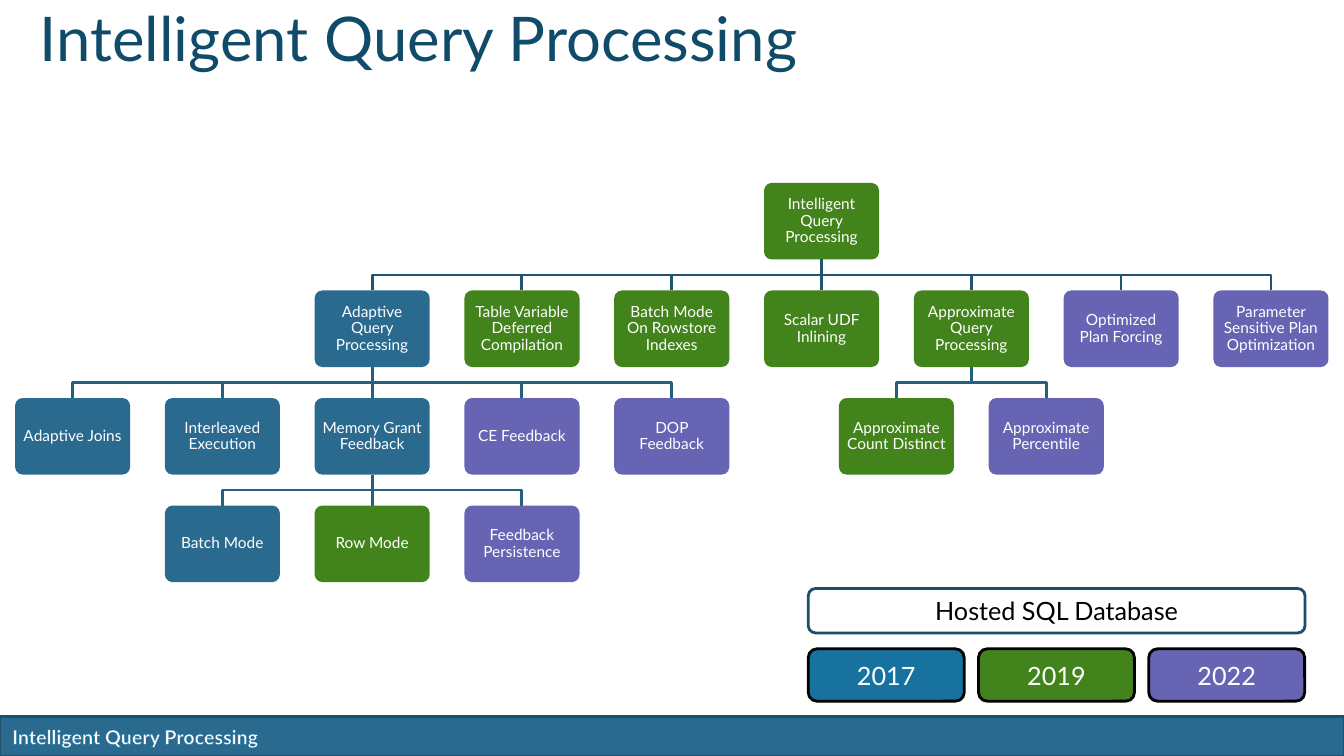
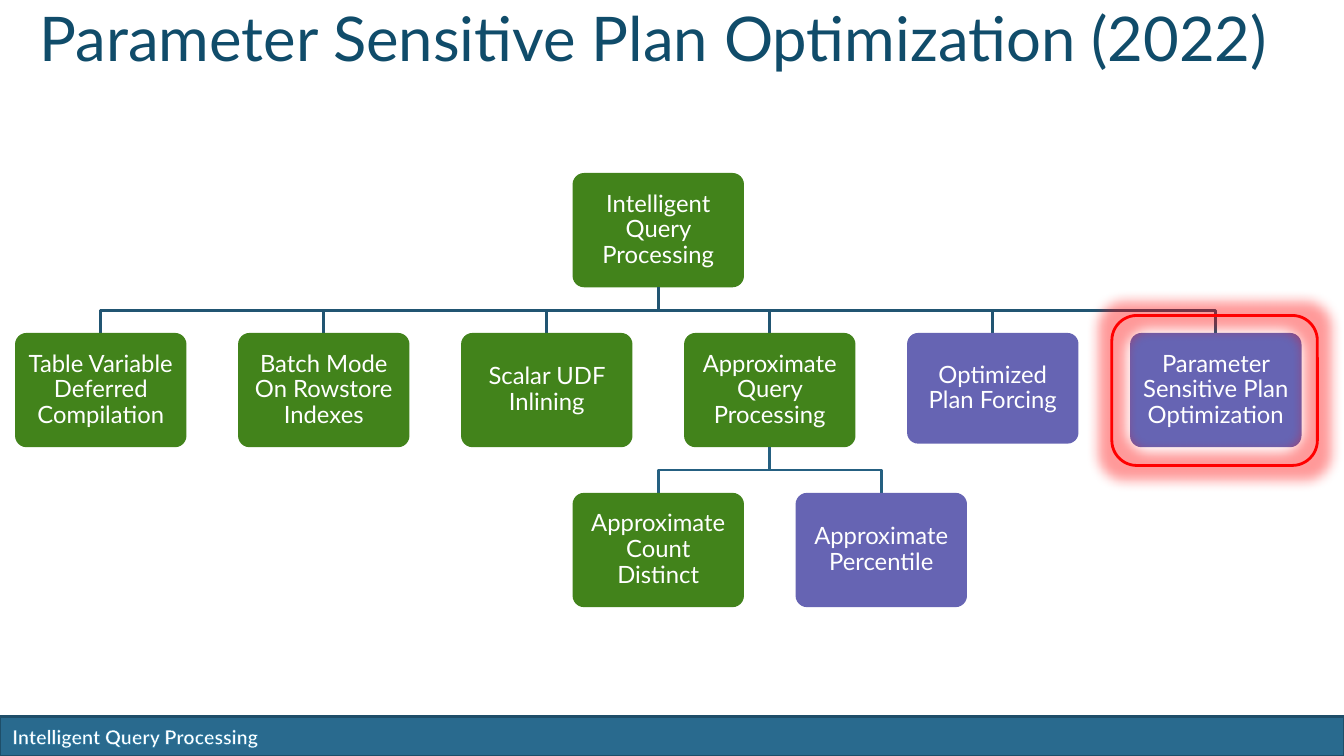
from lxml import etree
from pptx import Presentation
from pptx.dml.color import RGBColor
from pptx.enum.shapes import MSO_CONNECTOR, MSO_SHAPE
from pptx.enum.text import MSO_ANCHOR, MSO_AUTO_SIZE, PP_ALIGN
from pptx.oxml import parse_xml
from pptx.oxml.ns import qn
from pptx.util import Cm, Pt

RECT = MSO_SHAPE.RECTANGLE
ROUND = MSO_SHAPE.ROUNDED_RECTANGLE
LINE = MSO_CONNECTOR.STRAIGHT
LEFT, MID = PP_ALIGN.LEFT, PP_ALIGN.CENTER
TOP, CORE = MSO_ANCHOR.TOP, MSO_ANCHOR.MIDDLE
FIXED = MSO_AUTO_SIZE.NONE
SPACE = 'xmlns:a="http://schemas.openxmlformats.org/drawingml/2006/main"'
FONT = "Lato"
BLUE, GREEN, PURPLE = "296A8E", "42831B", "6664B3"
AZURE, NAVY, INK = "1872A0", "1E4E69", "104C6A"
WHITE, BLACK, RED = "FFFFFF", "000000", "FF0000"
WIDE, HIGH = 33.87, 19.05
TOPIC = "Intelligent Query Processing"


def tint(code):
    return RGBColor.from_string(code)


def put(shape, text, size=18, color=WHITE, bold=False, align=MID, anchor=CORE,
        inset=0.25, lead=None, fill=None, edge=None):
    if fill:
        shape.shadow.inherit = False
        shape.fill.solid()
        shape.fill.fore_color.rgb = tint(fill)
        if edge:
            shape.line.color.rgb = tint(edge)
            shape.line.width = Pt(2)
        else:
            shape.line.fill.background()
    frame = shape.text_frame
    frame.word_wrap = True
    frame.auto_size = FIXED
    frame.vertical_anchor = anchor
    frame.margin_left = frame.margin_right = Cm(inset)
    frame.margin_top = frame.margin_bottom = Cm(min(inset, 0.13))
    para = frame.paragraphs[0]
    para.alignment = align
    para.line_spacing = lead
    run = para.add_run()
    run.text = text
    run.font.name = FONT
    run.font.size = Pt(size)
    run.font.bold = bold
    run.font.color.rgb = tint(color)
    return run


root = [(GREEN, TOPIC)]
main = [
    (GREEN, "Table Variable Deferred Compilation"),
    (GREEN, "Batch Mode On Rowstore Indexes"),
    (GREEN, "Scalar UDF Inlining"),
    (GREEN, "Approximate Query Processing"),
    (PURPLE, "Optimized Plan Forcing"),
    (PURPLE, "Parameter Sensitive Plan Optimization"),
]
adapt = [
    (BLUE, "Adaptive Joins"),
    (BLUE, "Interleaved Execution"),
    (BLUE, "Memory Grant Feedback"),
    (PURPLE, "CE Feedback"),
    (PURPLE, "DOP Feedback"),
]
grant = [(BLUE, "Batch Mode"), (GREEN, "Row Mode"), (PURPLE, "Feedback Persistence")]
approx = [(GREEN, "Approximate Count Distinct"), (PURPLE, "Approximate Percentile")]

full = [
    (None, 0, 5, root),
    (TOPIC, 1, 2, [(BLUE, "Adaptive Query Processing")] + main),
    ("Adaptive Query Processing", 2, 0, adapt),
    ("Approximate Query Processing", 2, 5.5, approx),
    ("Memory Grant Feedback", 3, 1, grant),
]
short = [
    (None, 0, 2.5, root),
    (TOPIC, 1, 0, main),
    ("Approximate Query Processing", 2, 2.5, approx),
]
pages = [
    dict(title=TOPIC, span=30.48, tree=full, top=4.61, w=2.9, h=1.93,
         dx=3.775, dy=2.71, size=11, inset=0.12, odd={}),
    dict(title="Parameter Sensitive Plan Optimization (2022)", span=32.05,
         tree=short, top=4.36, w=4.32, h=2.88, dx=5.62, dy=4.03,
         size=17, inset=0.17, odd={"Optimized Plan Forcing": 2.79}),
]

deck = Presentation()
deck.slide_width, deck.slide_height = Cm(WIDE), Cm(HIGH)
layout = deck.slide_layouts[5]
slides = [deck.slides.add_slide(layout) for page in pages]

band = slides[0].shapes.add_shape(RECT, 0, Cm(18.05), Cm(WIDE), Cm(1.02))
run = put(band, TOPIC, size=14, bold=True, align=LEFT, inset=0.31, fill=BLUE, edge=NAVY)
run._r.get_or_add_rPr().insert(0, parse_xml(
    f'<a:ln {SPACE} w="10160"><a:solidFill><a:srgbClr val="{AZURE}"/></a:solidFill></a:ln>'))
layout.shapes.element.append(band.element)

for slide, page in zip(slides, pages):
    shapes = slide.shapes
    title = shapes.title
    title.left, title.top = Cm(0.75), Cm(0.5)
    title.width, title.height = Cm(page["span"]), Cm(3.18)
    put(title, page["title"], size=44, color=INK, align=LEFT, anchor=TOP, lead=Pt(35))

    w, h, dx, dy = page["w"], page["h"], page["dx"], page["dy"]
    spots = {}
    for boss, row, start, nodes in page["tree"]:
        y = page["top"] + row * dy
        foot, bus = y - dy + h, y - (dy - h) / 2
        for step, (hue, text) in enumerate(nodes):
            x = 0.38 + (start + step) * dx
            mid = spots[text] = round(x + w / 2, 2)
            if boss:
                stem = spots[boss]
                if mid == stem:
                    wire = shapes.add_connector(LINE, Cm(mid), Cm(foot), Cm(mid), Cm(y))
                    etree.SubElement(wire.element.spPr, qn("a:effectLst"))
                else:
                    pen = shapes.build_freeform(Cm(stem), Cm(foot))
                    turns = [(stem, bus), (mid, bus), (mid, y)]
                    pen.add_line_segments([(Cm(a), Cm(b)) for a, b in turns], close=False)
                    wire = pen.convert_to_shape()
                    wire.fill.background()
                    wire.shadow.inherit = False
                wire.line.color.rgb = tint("215572" if row == 1 else "256081")
                wire.line.width = Pt(2)
            tall = page["odd"].get(text, h)
            node = shapes.add_shape(ROUND, Cm(x), Cm(y), Cm(w), Cm(tall))
            node.adjustments[0] = 0.1
            put(node, text, size=page["size"], inset=page["inset"], lead=0.9, fill=hue)

shapes = slides[0].shapes
key = shapes.add_shape(ROUND, Cm(20.37), Cm(14.83), Cm(12.52), Cm(1.12))
put(key, "Hosted SQL Database", color=BLACK, fill=WHITE, edge=NAVY)
for step, (year, hue) in enumerate([("2017", AZURE), ("2019", GREEN), ("2022", PURPLE)]):
    key = shapes.add_shape(ROUND, Cm(20.37 + step * 4.29), Cm(16.35), Cm(3.93), Cm(1.32))
    put(key, year, fill=hue, edge=BLACK)

ring = slides[1].shapes.add_shape(ROUND, Cm(28.02), Cm(7.95), Cm(5.18), Cm(3.78))
ring.shadow.inherit = False
ring.fill.background()
ring.line.color.rgb = tint(RED)
ring.line.width = Pt(2)
ring.element.spPr.find(qn("a:effectLst")).append(parse_xml(
    f'<a:glow {SPACE} rad="228600"><a:srgbClr val="{RED}">'
    '<a:alpha val="40000"/></a:srgbClr></a:glow>'))

deck.save("out.pptx")
